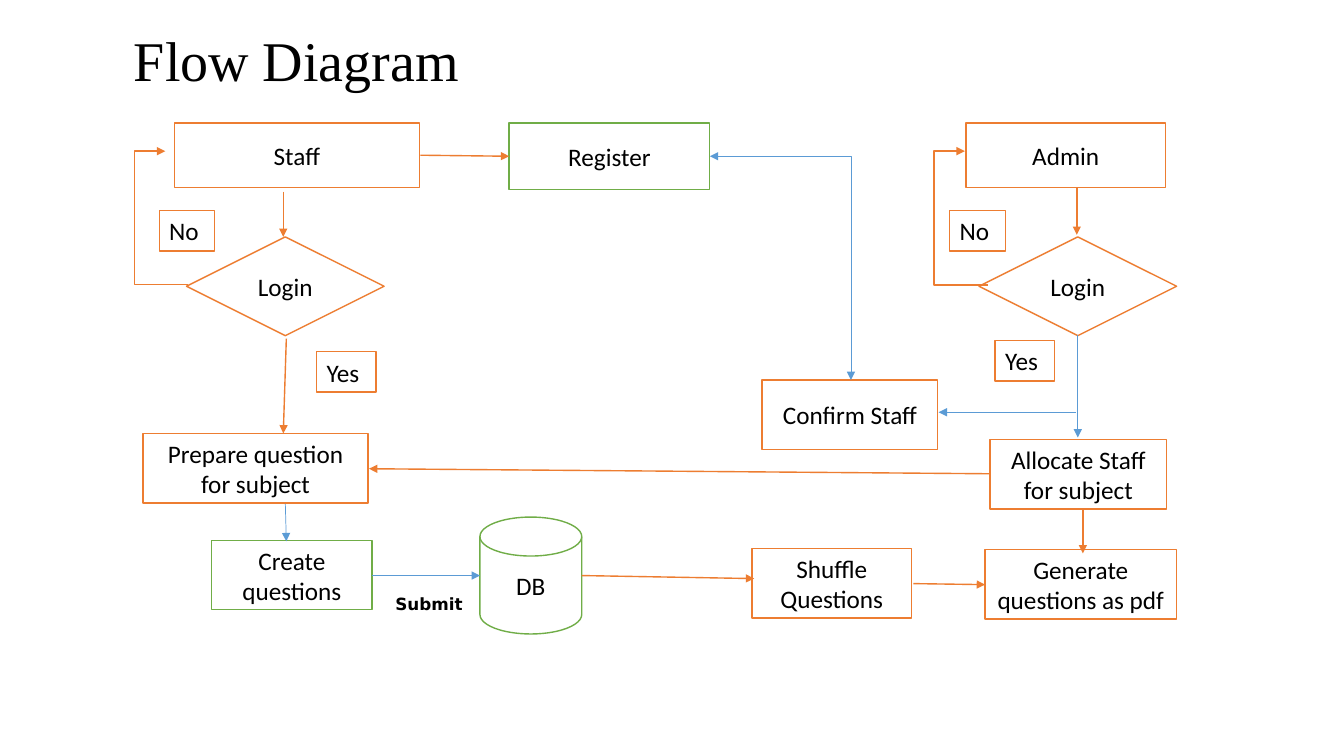
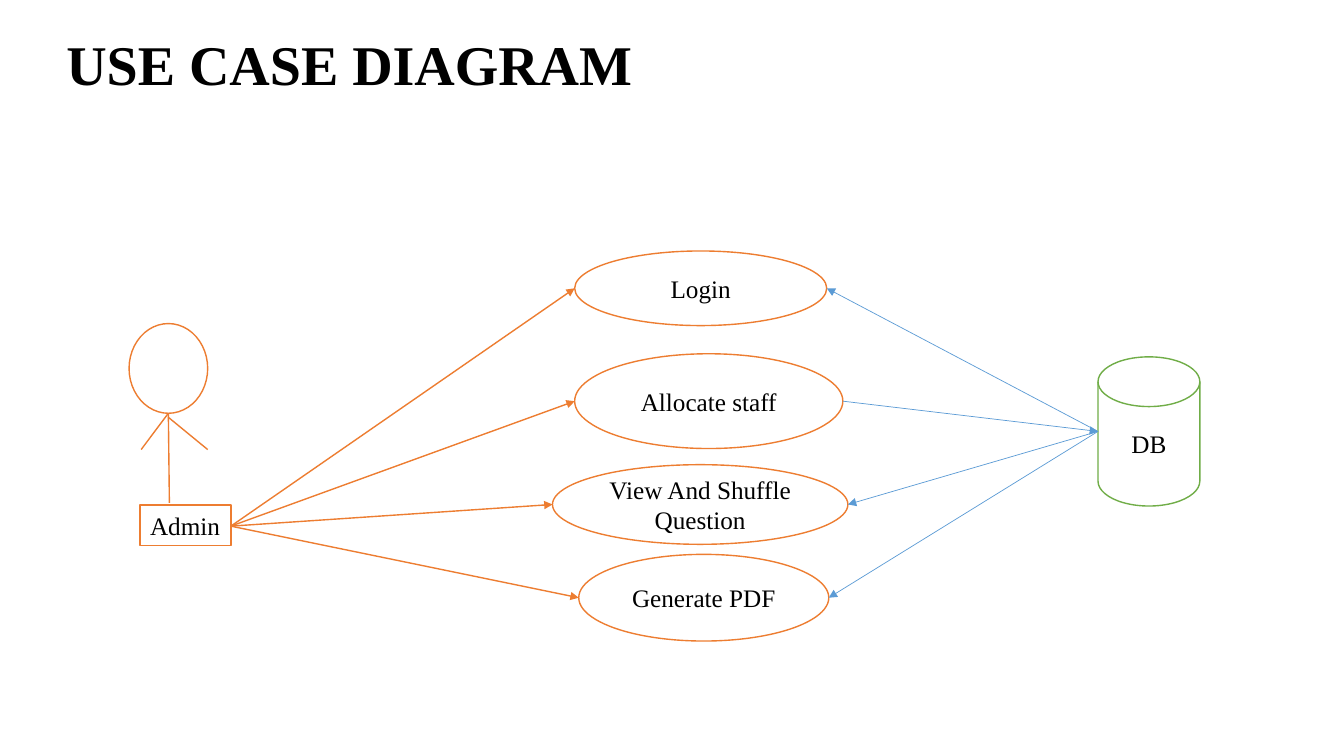
"""Build a flow diagram slide and a use case diagram slide."""
from dataclasses import dataclass

from lxml.etree import SubElement
from pptx import Presentation
from pptx.dml.color import RGBColor
from pptx.enum.shapes import MSO_CONNECTOR, MSO_SHAPE
from pptx.enum.text import MSO_ANCHOR, PP_ALIGN
from pptx.oxml.ns import qn
from pptx.util import Inches, Pt


@dataclass(frozen=True)
class Theme:
    white: RGBColor = RGBColor(0xFF, 0xFF, 0xFF)
    black: RGBColor = RGBColor(0x00, 0x00, 0x00)
    orange: RGBColor = RGBColor(0xED, 0x7D, 0x31)
    green: RGBColor = RGBColor(0x70, 0xAD, 0x47)
    blue: RGBColor = RGBColor(0x5B, 0x9B, 0xD5)
    serif: str = "Times New Roman"
    sans: str = "Calibri"
    caption_font: str = "DejaVu Sans"
    title_size: float = 40
    body_size: float = 18
    caption_size: float = 12
    thick: float = 1
    thin: float = 0.5


theme = Theme()


def add_box(page, place, text, font, kind=MSO_SHAPE.RECTANGLE, border=theme.orange,
            size=theme.body_size, bold=False, align=PP_ALIGN.CENTER, wrap=True):
    """Add a white shape, or a plain text box when there is no border."""
    lengths = [Inches(value) for value in place]
    if border is None:
        box = page.shapes.add_textbox(*lengths)
    else:
        box = page.shapes.add_shape(kind, *lengths)
        box.shadow.inherit = False
        box.fill.solid()
        box.fill.fore_color.rgb = theme.white
        box.line.color.rgb = border
        box.line.width = Pt(theme.thick)
    frame = box.text_frame
    frame.word_wrap = wrap
    frame.vertical_anchor = MSO_ANCHOR.MIDDLE
    if text:
        para = frame.paragraphs[0]
        para.text = text
        para.alignment = align
        para.font.name = font
        para.font.size = Pt(size)
        para.font.bold = bold
        para.font.color.rgb = theme.black
    return box


def add_link(page, start, end, color=theme.orange, arrows=("tailEnd",),
             kind=MSO_CONNECTOR.STRAIGHT):
    """Add a connector with triangle arrowheads at the named ends."""
    link = page.shapes.add_connector(kind, *[Inches(value) for value in (*start, *end)])
    link.line.color.rgb = color
    link.line.width = Pt(theme.thin if color == theme.blue else theme.thick)
    properties = link._element.spPr
    for arrow in arrows:
        SubElement(properties.find(qn("a:ln")), qn(f"a:{arrow}"), type="triangle")
    SubElement(properties, qn("a:effectLst"))
    return link


deck = Presentation()
deck.slide_width, deck.slide_height = Inches(13.33), Inches(7.5)

pages = []
for title, place, bold in [
    ("Flow Diagram", (1.23, 0.25, 8.5, 0.75), False),
    ("USE CASE DIAGRAM", (0.56, 0.17, 11.33, 1), True),
]:
    page = deck.slides.add_slide(deck.slide_layouts[6])
    heading = add_box(page, place, title, theme.serif, border=None,
                      size=theme.title_size, bold=bold, align=PP_ALIGN.LEFT)
    heading.text_frame.paragraphs[0].line_spacing = 0.9
    pages.append(page)
flow, use_case = pages

for text, place, border in [
    ("Staff", (1.73, 1.22, 2.43, 0.64), theme.orange),
    ("Register", (5.05, 1.22, 1.99, 0.66), theme.green),
    ("Admin", (9.58, 1.22, 1.98, 0.64), theme.orange),
    ("Confirm Staff", (7.56, 3.77, 1.74, 0.69), theme.orange),
    ("Prepare question for subject", (1.42, 4.3, 2.23, 0.69), theme.orange),
    ("Allocate Staff for subject", (9.82, 4.36, 1.75, 0.69), theme.orange),
    ("Create questions", (2.1, 5.36, 1.59, 0.69), theme.green),
    ("Shuffle Questions", (7.46, 5.44, 1.58, 0.69), theme.orange),
    ("Generate questions as pdf", (9.77, 5.45, 1.9, 0.69), theme.orange),
]:
    add_box(flow, place, text, theme.sans, border=border)

for left in (1.85, 9.71):
    add_box(flow, (left, 2.35, 1.96, 0.98), "Login", theme.sans, MSO_SHAPE.FLOWCHART_DECISION)

for text, left, top, width in [
    ("No", 1.58, 2.09, 0.55), ("Yes", 3.14, 3.49, 0.59),
    ("No", 9.42, 2.09, 0.55), ("Yes", 9.87, 3.38, 0.59),
]:
    add_box(flow, (left, top, width, 0.4), text, theme.sans, align=PP_ALIGN.LEFT, wrap=False)

add_box(flow, (4.76, 5.13, 1.01, 1.16), "DB", theme.sans,
        MSO_SHAPE.FLOWCHART_MAGNETIC_DISK, theme.green)
add_box(flow, (3.54, 5.84, 1.43, 0.3), "Submit", theme.caption_font, border=None,
        size=theme.caption_size, bold=True)

for start, end, color in [
    ((4.17, 1.54), (5.05, 1.55), theme.orange),
    ((2.81, 1.9), (2.81, 2.35), theme.orange),
    ((2.84, 3.36), (2.81, 4.3), theme.orange),
    ((2.83, 5), (2.84, 5.37), theme.blue),
    ((3.69, 5.71), (4.76, 5.71), theme.blue),
    ((5.77, 5.71), (7.48, 5.74), theme.orange),
    ((9.06, 5.79), (9.77, 5.8), theme.orange),
    ((10.68, 1.87), (10.68, 2.33), theme.orange),
    ((10.69, 3.32), (10.69, 4.34), theme.blue),
    ((10.67, 4.09), (9.31, 4.09), theme.blue),
    ((9.82, 4.7), (3.66, 4.65), theme.orange),
    ((10.74, 5.04), (10.74, 5.49), theme.orange),
]:
    add_link(flow, start, end, color)

for start, end in [((1.87, 2.82), (1.64, 1.5)), ((9.8, 2.83), (9.57, 1.5))]:
    retry = add_link(flow, start, end, kind=MSO_CONNECTOR.ELBOW)
    guides = retry._element.spPr.prstGeom.get_or_add_avLst()
    SubElement(guides, qn("a:gd"), name="adj1", fmla="val 232900")

corner = add_link(flow, (7.04, 1.55), (8.44, 3.77), theme.blue,
                  ("headEnd", "tailEnd"), MSO_CONNECTOR.ELBOW)
corner._element.spPr.prstGeom.set("prst", "bentConnector2")

add_box(use_case, (1.28, 3.21, 0.78, 0.89), "", theme.serif, MSO_SHAPE.OVAL)
for start, end in [
    ((1.67, 4.1), (1.68, 4.99)),
    ((1.67, 4.1), (1.4, 4.46)),
    ((1.67, 4.14), (2.06, 4.46)),
]:
    add_link(use_case, start, end, arrows=())
add_box(use_case, (1.39, 5.01, 0.9, 0.4), "Admin", theme.serif,
        align=PP_ALIGN.LEFT, wrap=False)
add_box(use_case, (10.89, 3.54, 1.01, 1.48), "DB", theme.serif,
        MSO_SHAPE.FLOWCHART_MAGNETIC_DISK, theme.green)

admin_port, database_port = (2.29, 5.22), (10.89, 4.28)
for text, left, top, width, height, to_database in [
    ("Login", 5.7, 2.49, 2.5, 0.74, False),
    ("Allocate staff", 5.7, 3.51, 2.66, 0.94, True),
    ("View And Shuffle Question", 5.48, 4.61, 2.93, 0.79, False),
    ("Generate PDF", 5.74, 5.5, 2.48, 0.86, False),
]:
    add_box(use_case, (left, top, width, height), text, theme.serif, MSO_SHAPE.OVAL)
    middle = top + height / 2
    add_link(use_case, admin_port, (left, middle))
    ends = [database_port, (left + width, middle)]
    if to_database:
        ends.reverse()
    add_link(use_case, *ends, theme.blue)

deck.save("out.pptx")
